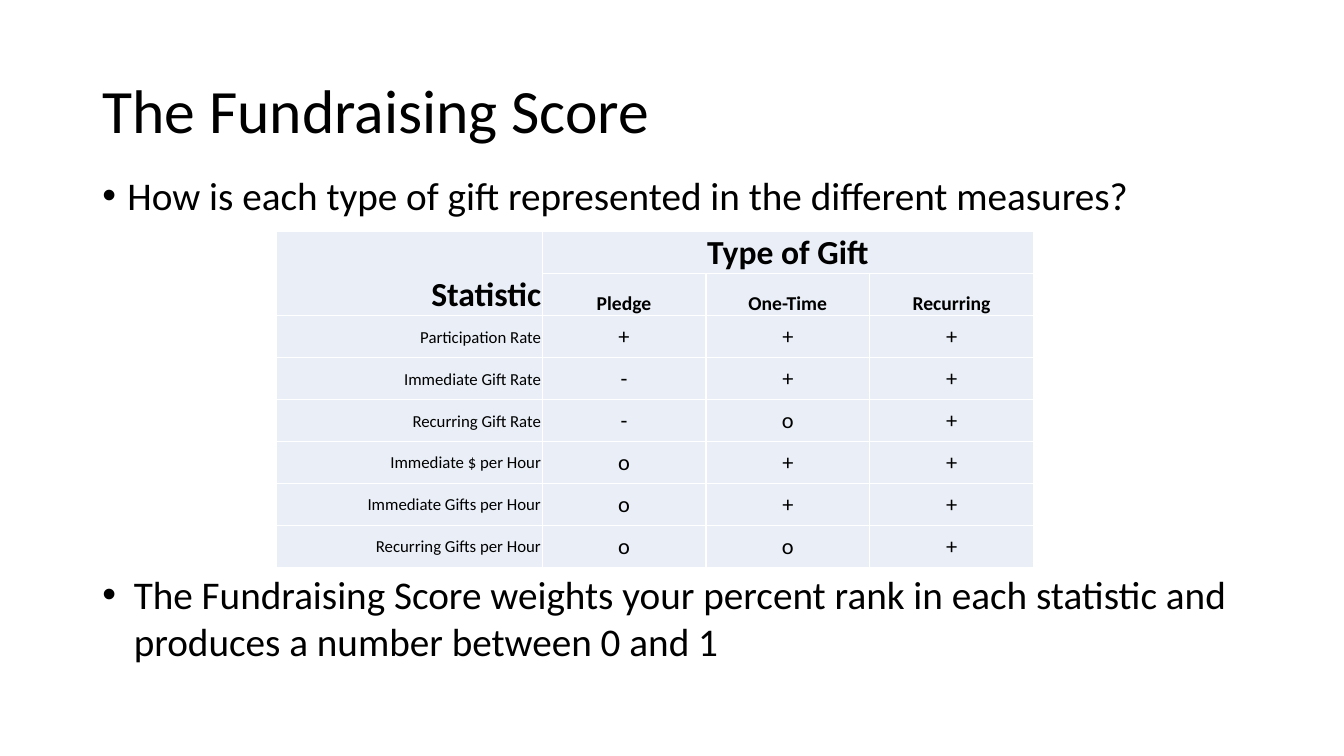
from lxml.etree import SubElement
from pptx import Presentation
from pptx.dml.color import RGBColor
from pptx.enum.text import MSO_ANCHOR as Anchor, PP_ALIGN as Align
from pptx.oxml.ns import qn
from pptx.util import Pt

COLORS = {"text": "000000", "cell": "EAEFF7", "border": "FFFFFF"}
GIFT_TYPES = ["Pledge", "One-Time", "Recurring"]
STATISTICS = [
    ("Participation Rate", "+++"),
    ("Immediate Gift Rate", "-++"),
    ("Recurring Gift Rate", "-o+"),
    ("Immediate $ per Hour", "o++"),
    ("Immediate Gifts per Hour", "o++"),
    ("Recurring Gifts per Hour", "oo+"),
]


def write_text(frame, text, size, font="Calibri", bold=False, align=Align.LEFT,
               line_spacing=1.0, space_before=0, bullet_indent=0):
    """Write one formatted paragraph into a text frame."""
    paragraph = frame.paragraphs[0]
    paragraph.alignment = align
    paragraph.line_spacing = line_spacing
    paragraph.space_before = Pt(space_before)
    if bullet_indent:
        properties = paragraph._p.get_or_add_pPr()
        properties.set("marL", str(Pt(bullet_indent)))
        properties.set("indent", str(-Pt(bullet_indent)))
        SubElement(properties, qn("a:buFont")).set("typeface", "Arial")
        SubElement(properties, qn("a:buChar")).set("char", "•")
    run = paragraph.add_run()
    run.text = text
    run.font.name = font
    run.font.size = Pt(size)
    run.font.bold = bold
    run.font.color.rgb = RGBColor.from_string(COLORS["text"])


class SlideBuilder:
    """Hold the style and the current slide."""

    def __init__(self, slide, colors):
        self.slide = slide
        self.colors = colors

    def add_text(self, box, text, anchor=Anchor.TOP, **text_format):
        """Add a wrapped text box."""
        shape = self.slide.shapes.add_textbox(*map(Pt, box))
        frame = shape.text_frame
        frame.word_wrap = True
        frame.vertical_anchor = anchor
        write_text(frame, text, **text_format)

    def add_table(self, left, top, widths, row_height, row_count):
        """Add a table of plain filled cells with thin borders."""
        shape = self.slide.shapes.add_table(
            row_count, len(widths), Pt(left), Pt(top),
            Pt(sum(widths)), Pt(row_height * row_count))
        table = shape.table
        table.first_row = table.horz_banding = False
        for column, width in zip(table.columns, widths):
            column.width = Pt(width)
        for row in table.rows:
            row.height = Pt(row_height)
        for cell in table.iter_cells():
            self.style_cell(cell)
        return table

    def style_cell(self, cell):
        """Set the borders, fill and margins of a cell."""
        properties = cell._tc.get_or_add_tcPr()
        for side in ("L", "R", "T", "B"):
            line = SubElement(properties, qn(f"a:ln{side}"), w=str(Pt(1)))
            fill = SubElement(line, qn("a:solidFill"))
            SubElement(fill, qn("a:srgbClr"), val=self.colors["border"])
        cell.fill.solid()
        cell.fill.fore_color.rgb = RGBColor.from_string(self.colors["cell"])
        cell.margin_left = cell.margin_right = cell.margin_top = Pt(0.75)
        cell.margin_bottom = Pt(0)

    def fill_cell(self, cell, text, anchor=Anchor.MIDDLE, **text_format):
        """Write text into a cell."""
        cell.vertical_anchor = anchor
        write_text(cell.text_frame, text, **text_format)


presentation = Presentation()
presentation.slide_width, presentation.slide_height = Pt(960), Pt(540)
builder = SlideBuilder(
    presentation.slides.add_slide(presentation.slide_layouts[6]), COLORS)

builder.add_text((66, 28.8, 828, 104.4), "The Fundraising Score",
                 anchor=Anchor.MIDDLE, size=44, line_spacing=0.9)
builder.add_text((66, 122.4, 828, 43.2),
                 "How is each type of gift represented in the different measures?",
                 size=28, line_spacing=0.9, space_before=10, bullet_indent=18)

table = builder.add_table(197.25, 165.6, [190, 117, 117, 117], 30,
                          len(STATISTICS) + 2)
table.cell(0, 0).merge(table.cell(1, 0))
table.cell(0, 1).merge(table.cell(0, 3))
header = {"anchor": Anchor.BOTTOM, "bold": True}
builder.fill_cell(table.cell(0, 0), "Statistic", size=24, align=Align.RIGHT, **header)
builder.fill_cell(table.cell(0, 1), "Type of Gift", size=24, align=Align.CENTER, **header)
for column, gift_type in enumerate(GIFT_TYPES, 1):
    builder.fill_cell(table.cell(1, column), gift_type, size=14,
                      align=Align.CENTER, **header)
for row, (statistic, marks) in enumerate(STATISTICS, 2):
    builder.fill_cell(table.cell(row, 0), statistic, size=12, align=Align.RIGHT)
    for column, mark in enumerate(marks, 1):
        builder.fill_cell(table.cell(row, column), mark, size=16, align=Align.CENTER)

builder.add_text((66, 404, 828, 75),
                 "The Fundraising Score weights your percent rank in each "
                 "statistic and produces a number between 0 and 1",
                 size=28, bullet_indent=22.5)

presentation.save("out.pptx")
